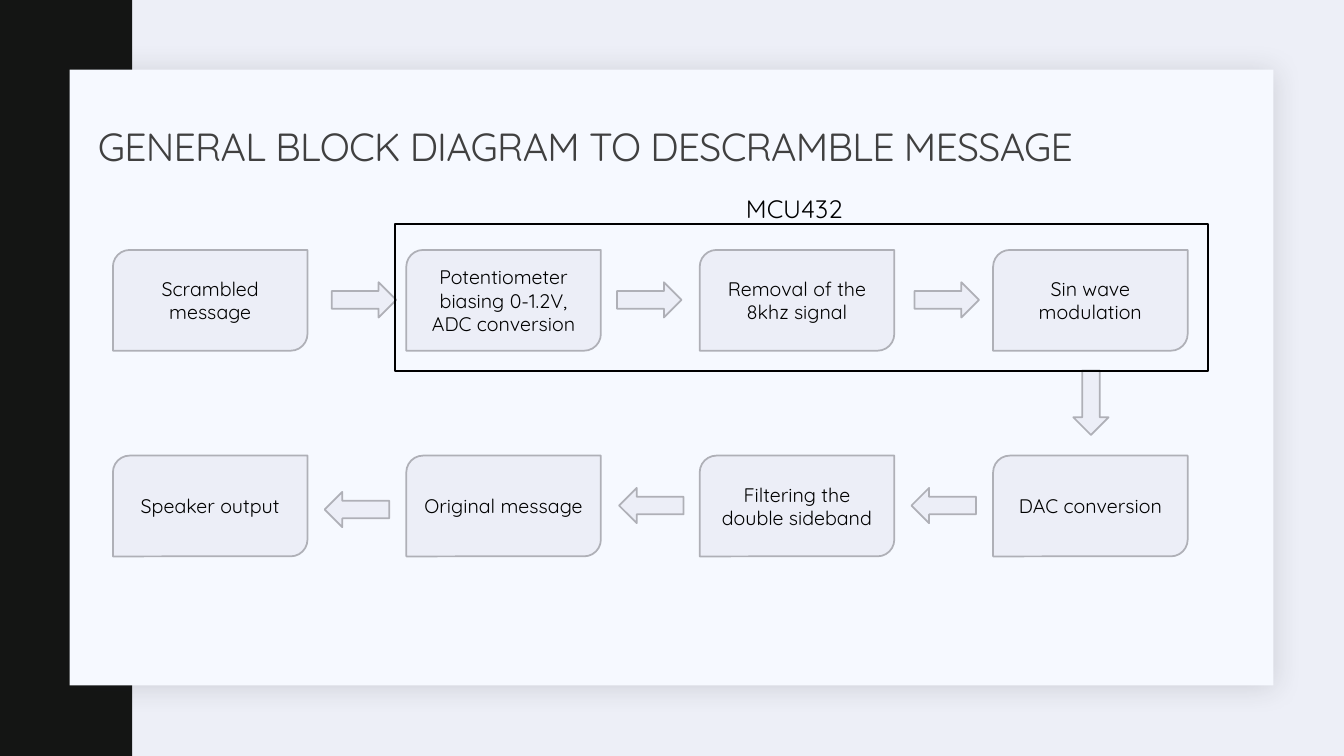
from dataclasses import dataclass

from lxml import etree
from pptx import Presentation
from pptx.dml.color import RGBColor
from pptx.enum import shapes, text
from pptx.oxml import ns
from pptx.util import Inches, Pt


@dataclass(frozen=True)
class Theme:
    font: str = "Quicksand"
    backdrop: str = "EDEFF7"
    band: str = "141514"
    panel: str = "F6F9FF"
    shadow: str = "1F2125"
    block: str = "ECEEF7"
    outline: str = "AFB0B7"
    heading: str = "404040"
    ink: str = "000000"
    heading_size: float = 28
    label_size: float = 18
    block_size: float = 14
    line_width: float = 1.25


THEME = Theme()
SHAPE = shapes.MSO_SHAPE

# Flow steps in column order; each string in a tuple is a paragraph
TOP_STEPS = [("Scrambled message",),
             ("Potentiometer biasing 0-1.2V,", "ADC conversion"),
             ("Removal of the 8khz signal",),
             ("Sin wave modulation",)]
BOTTOM_STEPS = [("Speaker output",), ("Original message",),
                ("Filtering the double sideband",), ("DAC conversion",)]
COLUMN_PITCH = 2.91
BLOCK_SIZE = (1.93, 1)
ARROW_SIZE = (0.64, 0.35)
# Arrow offsets from the left and top of their row
TOP_ARROWS = [(2.17, 0.32), (5, 0.32), (7.95, 0.32)]
BOTTOM_ARROWS = [(2.1, 0.36), (5.02, 0.32), (7.92, 0.32)]


def write(frame, *paragraphs, size, color=THEME.ink, align=None,
          anchor=text.MSO_ANCHOR.TOP, line_spacing=None, tracking=None):
    """Fill a text frame with one run per paragraph."""
    frame.word_wrap = True
    frame.vertical_anchor = anchor
    for i, words in enumerate(paragraphs):
        p = frame.paragraphs[0] if i == 0 else frame.add_paragraph()
        p.alignment = align
        p.line_spacing = line_spacing
        run = p.add_run()
        run.text = words
        run.font.name = THEME.font
        run.font.size = Pt(size)
        run.font.color.rgb = RGBColor.from_string(color)
        if tracking is not None:
            run.font._element.set("spc", str(int(tracking * 100)))


def add_box(slide, kind, box, fill=None, line=None):
    shape = slide.shapes.add_shape(kind, *map(Inches, box))
    shape.shadow.inherit = False
    if fill:
        shape.fill.solid()
        shape.fill.fore_color.rgb = RGBColor.from_string(fill)
    else:
        shape.fill.background()
    if line:
        shape.line.color.rgb = RGBColor.from_string(line)
        shape.line.width = Pt(THEME.line_width)
    else:
        shape.line.fill.background()
    return shape


def add_soft_shadow(shape):
    effects = shape.element.spPr.find(ns.qn("a:effectLst"))
    shadow = etree.SubElement(effects, ns.qn("a:outerShdw"), blurRad=str(Pt(20)),
                              dist=str(Pt(2)), dir=str(45 * 60000),
                              algn="tl", rotWithShape="0")
    color = etree.SubElement(shadow, ns.qn("a:srgbClr"), val=THEME.shadow)
    etree.SubElement(color, ns.qn("a:alpha"), val="15000")


def add_backdrop(slide, panel_box):
    """Dark band on the left and the raised content panel."""
    slide.background.fill.solid()
    slide.background.fill.fore_color.rgb = RGBColor.from_string(THEME.backdrop)
    add_box(slide, SHAPE.RECTANGLE, (0, 0, 1.31, 7.5), THEME.band)
    add_soft_shadow(add_box(slide, SHAPE.RECTANGLE, panel_box, THEME.panel))


def add_heading(slide, words, box):
    heading = slide.shapes.title
    heading.left, heading.top, heading.width, heading.height = map(Inches, box)
    write(heading.text_frame, words, size=THEME.heading_size, color=THEME.heading,
          align=text.PP_ALIGN.LEFT, anchor=text.MSO_ANCHOR.MIDDLE,
          line_spacing=0.9, tracking=-0.5)
    # Bring the heading in front of the panel
    heading.element.getparent().append(heading.element)


def add_arrow(slide, left, top, rotation=0):
    arrow = add_box(slide, SHAPE.RIGHT_ARROW, (left, top, *ARROW_SIZE),
                    THEME.block, THEME.outline)
    arrow.rotation = rotation


def add_flow_row(slide, left, top, steps, arrows, rotation=0):
    """One row of step blocks with the arrows between them."""
    for column, step in enumerate(steps):
        block = add_box(slide, SHAPE.ROUND_2_DIAG_RECTANGLE,
                        (left + column * COLUMN_PITCH, top, *BLOCK_SIZE),
                        THEME.block, THEME.outline)
        write(block.text_frame, *step, size=THEME.block_size,
              align=text.PP_ALIGN.CENTER, anchor=text.MSO_ANCHOR.MIDDLE)
    for dx, dy in arrows:
        add_arrow(slide, left + dx, top + dy, rotation)


def add_controller(slide, name, left, top, width, height):
    """Frame around the on-chip steps, with its label above."""
    add_box(slide, SHAPE.RECTANGLE, (left, top, width, height), line=THEME.ink)
    label = slide.shapes.add_textbox(*map(Inches, (left + 3.38, top - 0.35, 3, 0.4)))
    write(label.text_frame, name, size=THEME.label_size)


def main():
    prs = Presentation()
    prs.slide_width, prs.slide_height = Inches(13.33), Inches(7.5)
    slide = prs.slides.add_slide(prs.slide_layouts.get_by_name("Title Only"))

    add_backdrop(slide, (0.69, 0.69, 11.94, 6.11))
    add_heading(slide, "GENERAL BLOCK DIAGRAM TO DESCRAMBLE MESSAGE",
                (0.87, 0.79, 10.64, 1.37))

    # Flow: right along the top, down, then left along the bottom
    add_flow_row(slide, 1.12, 2.48, TOP_STEPS, TOP_ARROWS)
    add_arrow(slide, 10.5, 3.82, rotation=90)
    add_flow_row(slide, 1.12, 4.52, BOTTOM_STEPS, BOTTOM_ARROWS, rotation=180)
    add_controller(slide, "MCU432", 3.92, 2.22, 8.06, 1.46)

    prs.save("out.pptx")


if __name__ == "__main__":
    main()
